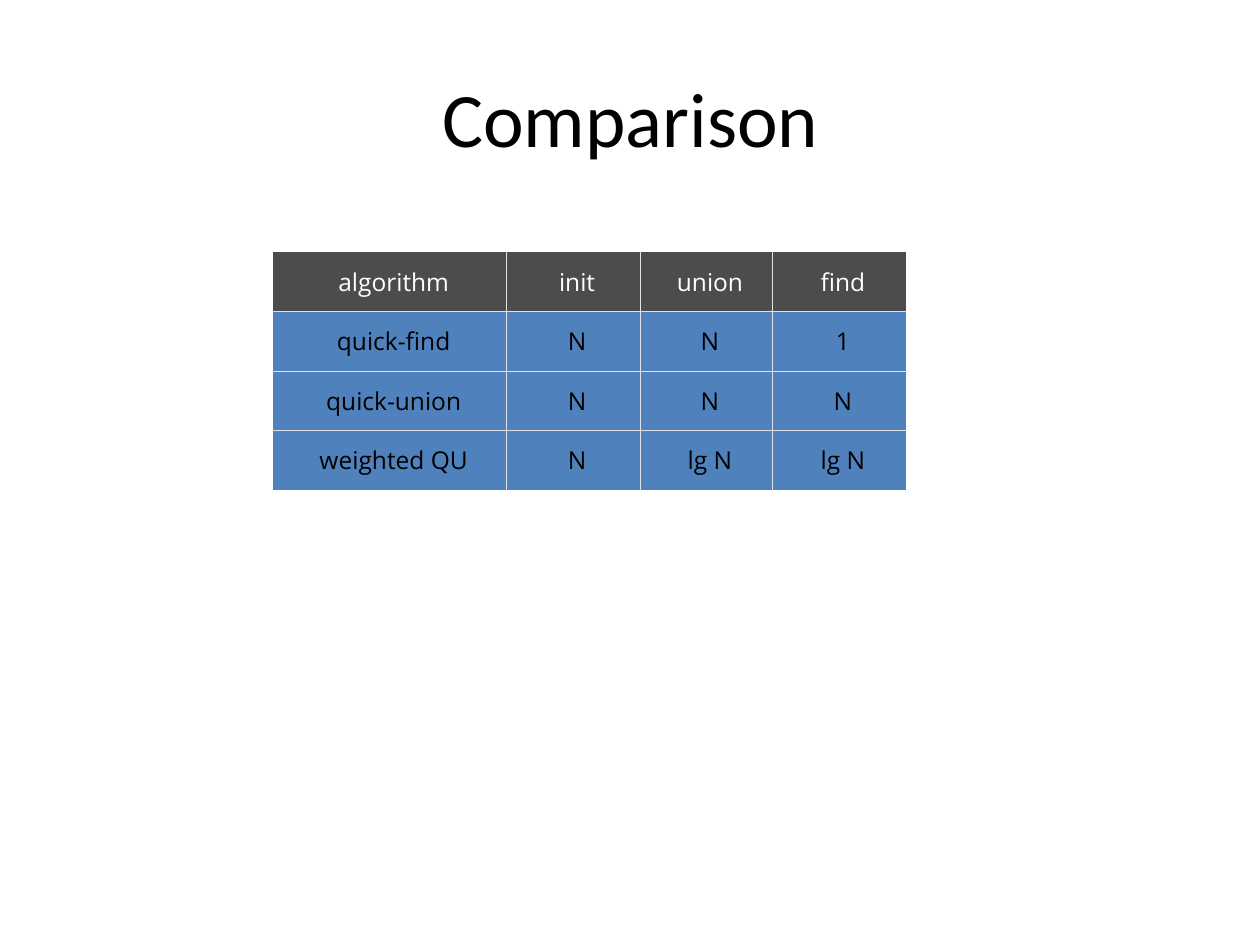
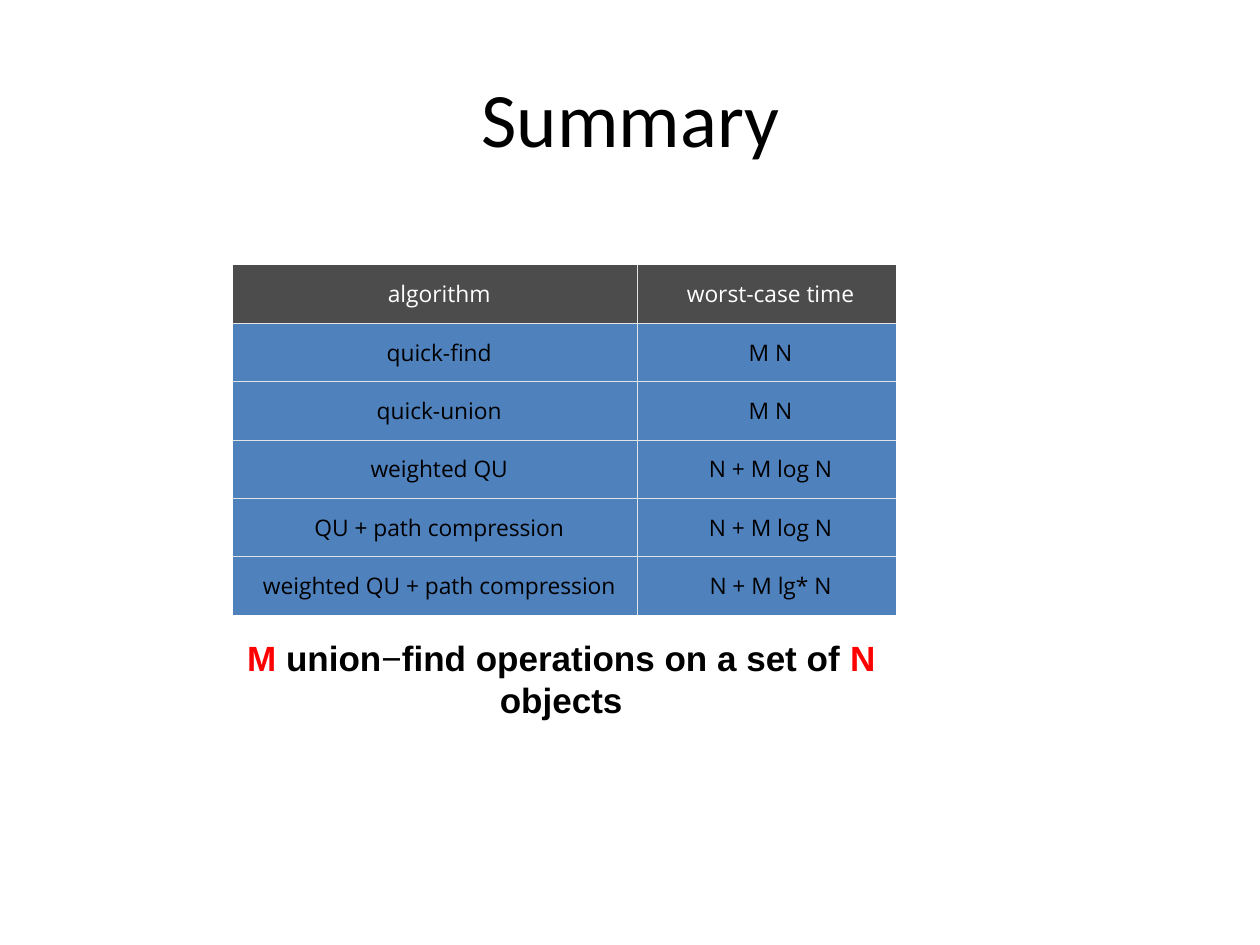
from pptx import Presentation
from pptx.dml.color import RGBColor as Rgb
from pptx.enum.text import MSO_ANCHOR as Anchor, PP_ALIGN as Align
from pptx.oxml import parse_xml
from pptx.oxml.ns import nsdecls
from pptx.util import Inches as In, Pt

INK = dict(black="000000", white="FFFFFF", red="FF0000",
           head="4C4C4C", body="4F81BD", rule="E1E4E5")

PAGES = [
    dict(
        title="Comparison", at=(2.17, 2), cols=(1.85, 1.06, 1.05, 1.06),
        high=1.89, size=14,
        rows=[
            ("algorithm", "init", "union", "find"),
            ("quick-find", "N", "N", "1"),
            ("quick-union", "N", "N", "N"),
            ("weighted QU", "N", "lg N", "lg N"),
        ],
    ),
    dict(
        title="Summary", at=(1.85, 2.1), cols=(3.21, 2.05),
        high=2.78, size=13,
        rows=[
            ("algorithm", "worst-case time"),
            ("quick-find", "M N"),
            ("quick-union", "M N"),
            ("weighted QU", "N + M log N"),
            ("QU + path compression", "N + M log N"),
            ("weighted QU + path compression", "N + M lg* N"),
        ],
        note=[
            ("M", "red", True), (" union", "black", True),
            ("−", "black", False),
            ("find operations on a set of ", "black", True),
            ("N", "red", True), (" objects", "black", True),
        ],
    ),
]


def write(frame, text, font="Calibri", size=44, ink="black", bold=False,
          inset=0.04, space=None):
    para = frame.paragraphs[0]
    para.alignment = Align.CENTER
    para.line_spacing = space
    props = para._p.get_or_add_pPr()
    props.set("marL", str(In(inset)))
    props.set("indent", "0")
    runs = [(text, ink, bold)] if isinstance(text, str) else text
    for part, tint, heavy in runs:
        run = para.add_run()
        run.text = part
        run.font.name = font
        run.font.size = Pt(size)
        run.font.bold = heavy
        run.font.color.rgb = Rgb.from_string(INK[tint])


def pad(part, left, top, right, low):
    part.margin_left, part.margin_top = In(left), In(top)
    part.margin_right, part.margin_bottom = In(right), In(low)


def edge(cell, sides):
    props = cell._tc.get_or_add_tcPr()
    for spot, (side, shown) in enumerate(sides.items()):
        paint = (f'<a:solidFill><a:srgbClr val="{INK["rule"]}"/></a:solidFill>'
                 if shown else "<a:noFill/>")
        props.insert(spot, parse_xml(
            f'<a:ln{side} {nsdecls("a")} w="{Pt(0.06)}">{paint}</a:ln{side}>'))


def grid(slide, page):
    rows, cols = page["rows"], page["cols"]
    left, top = page["at"]
    table = slide.shapes.add_table(
        len(rows), len(cols), In(left), In(top),
        In(sum(cols)), In(page["high"])).table
    for col, wide in zip(table.columns, cols):
        col.width = In(wide)
    for r, row in enumerate(rows):
        table.rows[r].height = In(page["high"] / len(rows))
        for c, text in enumerate(row):
            cell = table.cell(r, c)
            cell.vertical_anchor = Anchor.MIDDLE
            pad(cell, 0.04, 0.05, 0.04, 0.05)
            cell.fill.solid()
            cell.fill.fore_color.rgb = Rgb.from_string(
                INK["body" if r else "head"])
            edge(cell, dict(L=c > 0, R=c < len(cols) - 1,
                            T=r > 0, B=r < len(rows) - 1))
            write(cell.text_frame, text, font="Open Sans", size=page["size"],
                  ink="black" if r else "white", inset=0.06, space=0.96)


def build(deck, page):
    slide = deck.slides.add_slide(deck.slide_layouts[5])
    title = slide.shapes.title
    title.left, title.top = In(0.5), In(0.3)
    title.width, title.height = In(9), In(1.25)
    frame = title.text_frame
    frame.vertical_anchor = Anchor.MIDDLE
    pad(frame, 0.1, 0.05, 0.13, 0.05)
    write(frame, page["title"])
    if "note" in page:
        frame = slide.shapes.add_textbox(
            In(1.83), In(5.05), In(5.26), In(0.27)).text_frame
        frame.word_wrap = True
        pad(frame, 0, 0, 0.05, 0)
        write(frame, page["note"], font="Arial", size=20)
    grid(slide, page)


def main():
    deck = Presentation()
    deck.slide_width, deck.slide_height = In(10), In(7.5)
    for page in PAGES:
        build(deck, page)
    deck.save("out.pptx")


if __name__ == "__main__":
    main()
